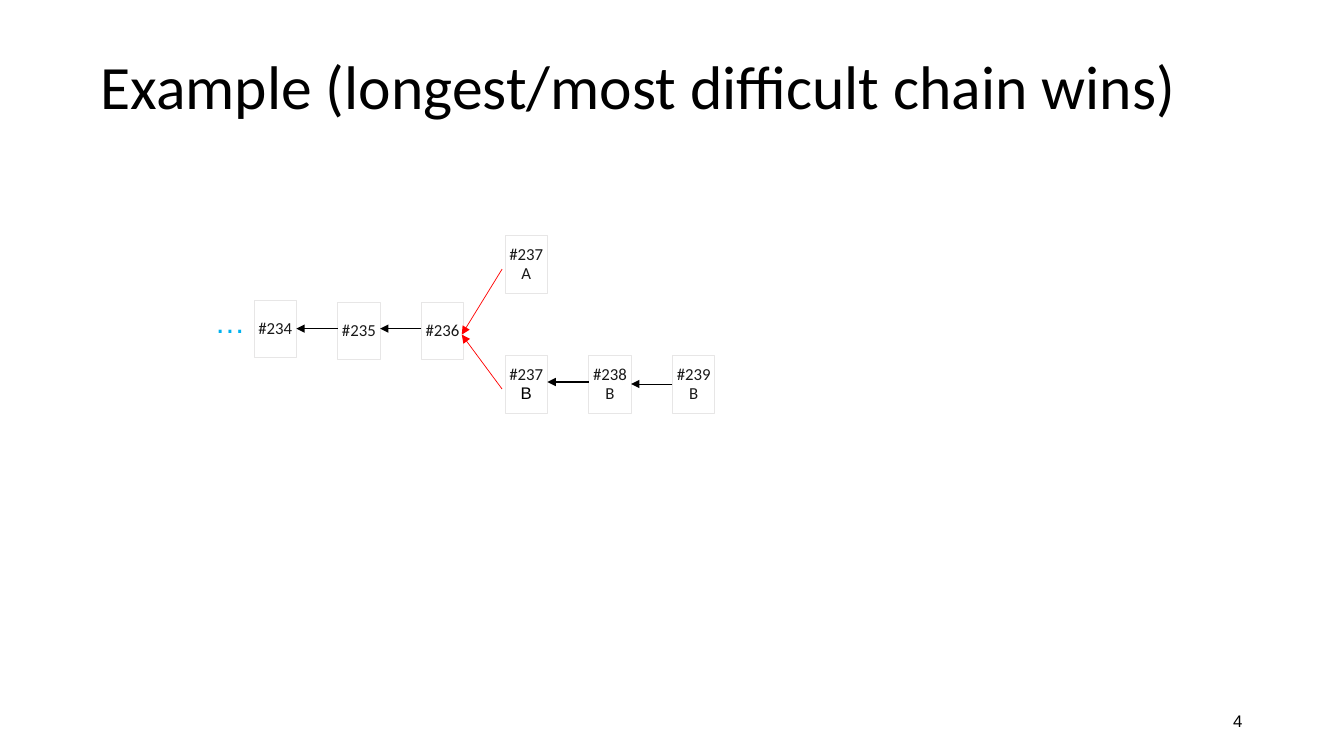
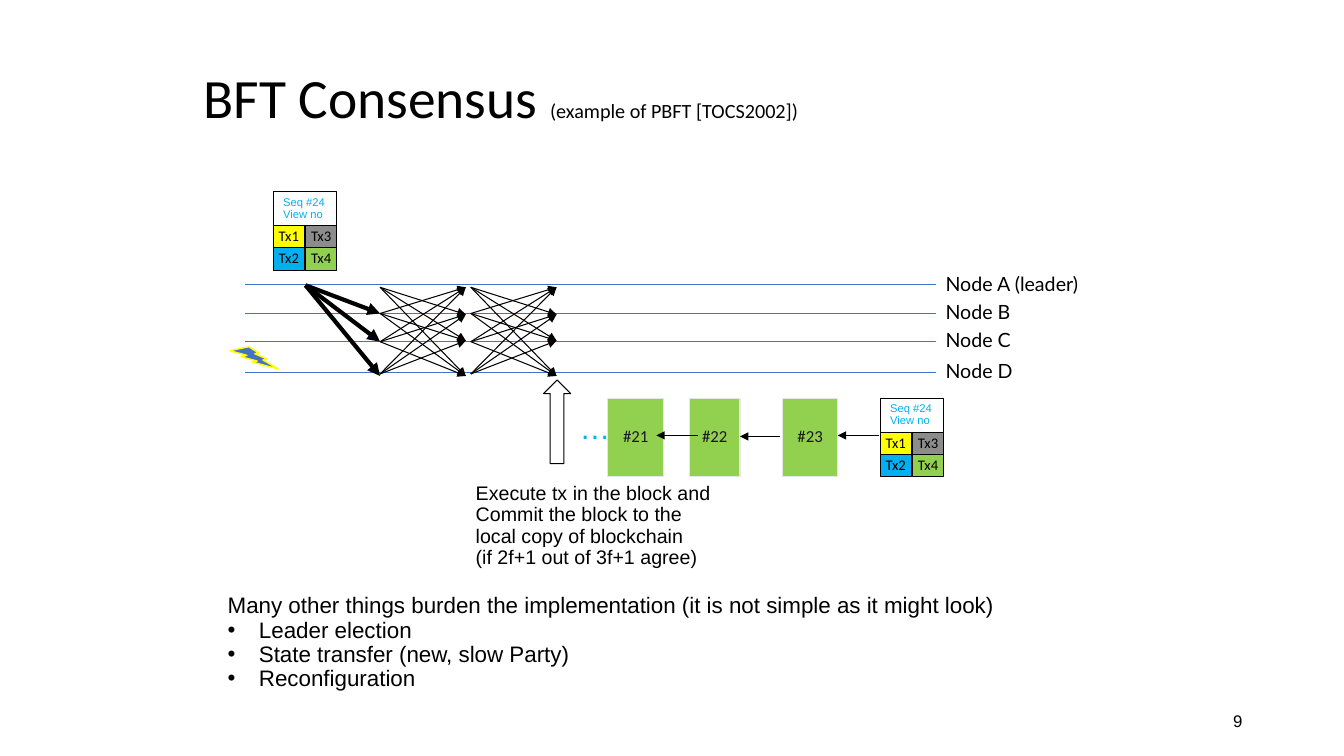
"""Build two slides on blockchain consensus: the longest chain rule and BFT."""
from lxml import etree
from pptx import Presentation
from pptx.dml.color import RGBColor
from pptx.enum import shapes, text
from pptx.oxml import ns
from pptx.util import Inches, Pt

COLORS = {
    "black": "000000", "ink": "191919", "edge": "E7E6E6", "cyan": "00B2EF",
    "red": "FF0000", "lane": "4472C4", "yellow": "FFFF00", "blue": "00B0F0",
    "gray": "8C8C8C", "green": "92D050",
}
KINDS = shapes.MSO_SHAPE
CENTER, RIGHT = text.PP_ALIGN.CENTER, text.PP_ALIGN.RIGHT
TOP, MIDDLE = text.MSO_ANCHOR.TOP, text.MSO_ANCHOR.MIDDLE

STYLES = {
    "title": ("Calibri", 44, "black"),
    "bft title": ("Calibri", 39.6, "black"),
    "subtitle": ("Calibri", 14.4, "black"),
    "number": ("Arial", 12, "black"),
    "block": ("Calibri", 12, "ink"),
    "branch": ("Arial", 12, "black"),
    "dots": ("Arial", 22, "cyan"),
    "node": ("Lato", 14, "black"),
    "tx": ("Calibri", 10.5, "black"),
    "header": ("Arial", 8, "cyan"),
    "caption": ("Arial", 14, "black"),
    "body": ("Arial", 16, "black"),
}

CHAIN_X, CHAIN_STEP = 2.52, 0.83
CHAIN_BLOCK = (0.42, 0.57)
CHAIN = [
    (0, 2.98, [[("#234", "block")]]),
    (1, 3.0, [[("#235", "block")]]),
    (2, 3.0, [[("#236", "block")]]),
    (3, 2.34, [[("#237A", "block")]]),
    (3, 3.53, [[("#237", "block")], [("B", "branch")]]),
    (4, 3.53, [[("#238B", "block")]]),
    (5, 3.53, [[("#239B", "block")]]),
]
CHAIN_LINKS = [(0, 3.26), (1, 3.26), (3, 3.79), (4, 3.81)]
FORK_END = (4.58, 3.32)
FORK_STARTS = [(4.98, 3.86), (4.98, 2.67)]

LANE_LEFT, LANE_RIGHT = 2.43, 9.28
LANES = [
    ("Node A (leader)", 2.82, 2.67),
    ("Node B", 3.11, 2.95),
    ("Node C", 3.39, 3.23),
    ("Node D", 3.7, 3.54),
]
LEADER = (3.03, 2.83)
LEADER_TARGETS = [3.11, 3.39, 3.73]
MESH_STARTS = [2.85, 3.11, 3.39, 3.71]
MESH_ENDS = [2.85, 3.12, 3.38, 3.73]
MESH_SPANS = [(3.77, 4.62), (4.67, 5.52)]

PROPOSALS = [(2.71, 1.9), (8.73, 3.95)]
HEADER = ["Seq #24", "View no"]
TRANSACTIONS = [("Tx1", "yellow"), ("Tx2", "blue"), ("Tx3", "gray"), ("Tx4", "green")]
COMMITTED = [("#21", 6.03, 0.55), ("#22", 6.84, 0.5), ("#23", 7.76, 0.55)]
COMMITTED_LINKS = [(6.92, 6.51, 4.32), (7.74, 7.34, 4.33), (8.72, 8.31, 4.32)]
CAPTION = ["Execute tx in the block and", "Commit the block to the",
           "local copy of blockchain", "(if 2f+1 out of 3f+1 agree)"]
BURDEN = "Many other things burden the implementation (it is not simple as it might look)"
BURDENS = ["Leader election", "State transfer (new, slow Party)", "Reconfiguration"]


def color(name):
    return RGBColor.from_string(COLORS[name])


def add_xml(parent, tag, **attributes):
    return etree.SubElement(parent, ns.qn(tag), attributes)


def write(box, lines, align=None, anchor=TOP, margins=(0.1, 0.05, 0.1, 0.05), spacing=0.9):
    frame = box.text_frame
    frame.word_wrap = True
    frame.vertical_anchor = anchor
    frame.margin_left, frame.margin_top, frame.margin_right, frame.margin_bottom = map(Inches, margins)
    for index, spans in enumerate(lines):
        para = frame.add_paragraph() if index else frame.paragraphs[0]
        para.alignment = align or text.PP_ALIGN.LEFT
        para.line_spacing = spacing
        for words, style in spans:
            span = para.add_run()
            span.text = words
            name, size, ink = STYLES[style]
            span.font.name, span.font.size = name, Pt(size)
            span.font.color.rgb = color(ink)
    return box


def add_text(page, place, lines, **options):
    return write(page.shapes.add_textbox(*map(Inches, place)), lines, **options)


def add_figure(page, kind, place, fill=None, line="black", weight=0.75):
    figure = page.shapes.add_shape(kind, *map(Inches, place))
    figure.shadow.inherit = False
    if fill:
        figure.fill.solid()
        figure.fill.fore_color.rgb = color(fill)
    else:
        figure.fill.background()
    figure.line.color.rgb = color(line)
    figure.line.width = Pt(weight)
    return figure


def add_block(page, place, lines, **look):
    block = add_figure(page, KINDS.RECTANGLE, place, **look)
    return write(block, lines, align=CENTER, anchor=MIDDLE, margins=(0, 0, 0, 0))


def add_line(page, start, end, ink="black", weight=0.75, arrow=True):
    line = page.shapes.add_connector(
        shapes.MSO_CONNECTOR.STRAIGHT, *map(Inches, (*start, *end)))
    line.line.color.rgb = color(ink)
    line.line.width = Pt(weight)
    if arrow:
        add_xml(line.line._get_or_add_ln(), "a:tailEnd", type="triangle")
    add_xml(line._element.spPr, "a:effectLst")


def add_page(deck, title, place, number):
    page = deck.slides.add_slide(deck.slide_layouts[6])
    add_text(page, place, [title], anchor=MIDDLE)
    add_text(page, (9.42, 6.95, 3, 0.4), [[(number, "number")]],
             align=RIGHT, anchor=MIDDLE, spacing=1.0)
    return page


def add_dots(page, left, top):
    add_text(page, (left, top, 0.51, 0.43), [[("…", "dots")]])


def add_proposal(page, left, top):
    header = add_figure(page, KINDS.RECTANGLE, (left, top, 0.63, 0.34))
    write(header, [[(words, "header")] for words in HEADER], margins=(0.1, 0.05, 0, 0.05))
    for index, (name, fill) in enumerate(TRANSACTIONS):
        column, row = divmod(index, 2)
        place = (left + 0.32 * column, top + 0.34 + 0.22 * row, 0.31, 0.22)
        add_block(page, place, [[(name, "tx")]], fill=fill)


def build_chain(deck):
    title = [("Example (longest/most difficult chain wins)", "title")]
    page = add_page(deck, title, (0.9, 0.16, 11.5, 1.45), "4")
    add_dots(page, 2.03, 3)
    for column, top, lines in CHAIN:
        place = (CHAIN_X + column * CHAIN_STEP, top, *CHAIN_BLOCK)
        add_block(page, place, lines, line="edge")
    for column, height in CHAIN_LINKS:
        left = CHAIN_X + column * CHAIN_STEP
        add_line(page, (left + CHAIN_STEP, height), (left + CHAIN_BLOCK[0], height))
    for start in FORK_STARTS:
        add_line(page, start, FORK_END, ink="red", weight=0.5)


def build_consensus(deck):
    title = [("BFT Consensus ", "bft title"), ("(example of PBFT [TOCS2002])", "subtitle")]
    page = add_page(deck, title, (1.92, 0.79, 9.5, 0.42), "9")
    for name, height, top in LANES:
        add_line(page, (LANE_LEFT, height), (LANE_RIGHT, height), ink="lane", arrow=False)
        add_text(page, (LANE_RIGHT, top, 1.66, 0.31), [[(name, "node")]])
    for height in LEADER_TARGETS:
        add_line(page, LEADER, (3.77, height), weight=3)
    for left, right in MESH_SPANS:
        for sender, start in enumerate(MESH_STARTS):
            for receiver, end in enumerate(MESH_ENDS):
                if sender != receiver:
                    add_line(page, (left, start), (right, end))
    add_figure(page, KINDS.UP_ARROW, (5.39, 3.77, 0.27, 0.83))
    add_text(page, (4.62, 4.75, 2.6, 0.95), [[(words, "caption")] for words in CAPTION])
    body = add_text(page, (2.16, 5.85, 8.01, 1.07),
                    [[(words, "body")] for words in [BURDEN, *BURDENS]])
    for para in body.text_frame.paragraphs[1:]:
        layout = para._p.get_or_add_pPr()
        layout.set("marL", str(Inches(0.31)))
        layout.set("indent", str(-Inches(0.31)))
        add_xml(layout, "a:buFont", typeface="Arial")
        add_xml(layout, "a:buChar", char="•")
    add_figure(page, KINDS.LIGHTNING_BOLT, (2.28, 3.44, 0.48, 0.22),
               fill="lane", line="yellow", weight=1)
    add_dots(page, 5.65, 4.05)
    for name, left, width in COMMITTED:
        add_block(page, (left, 3.95, width, 0.78), [[(name, "block")]], fill="green", line="edge")
    for left, top in PROPOSALS:
        add_proposal(page, left, top)
    for start, end, height in COMMITTED_LINKS:
        add_line(page, (start, height), (end, height))


deck = Presentation()
deck.slide_width, deck.slide_height = Inches(13.33), Inches(7.5)
build_chain(deck)
build_consensus(deck)
deck.save("out.pptx")
